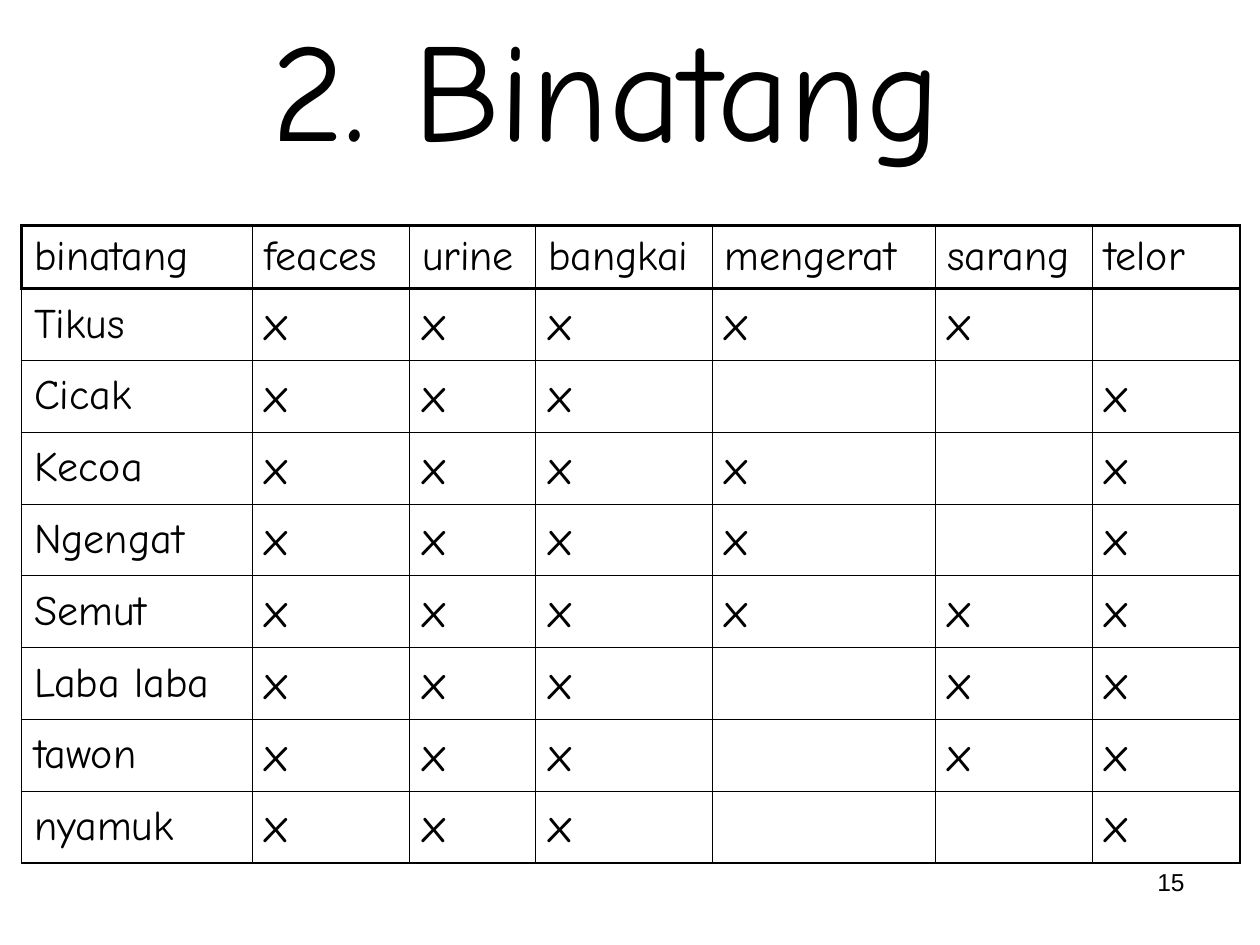
import dataclasses

import lxml.etree
import pptx
import pptx.dml.color
import pptx.enum.text
import pptx.oxml.ns
import pptx.util

Inches = pptx.util.Inches
Pt = pptx.util.Pt


@dataclasses.dataclass(frozen=True)
class Theme:
    """Fonts, colours, type sizes and line widths of the slide."""
    hand: str = "Comic Neue"
    plain: str = "Arial"
    ink: str = "000000"
    title: int = 80
    label: int = 24
    mark: int = 28
    number: int = 14
    header_rule: float = 1.47
    outer_rule: float = 1.08
    inner_rule: float = 0.45


THEME = Theme()
TRACES = ["feaces", "urine", "bangkai", "mengerat", "sarang", "telor"]
ANIMALS = {
    "Tikus": "xxxxx-",
    "Cicak": "xxx--x",
    "Kecoa": "xxxx-x",
    "Ngengat": "xxxx-x",
    "Semut": "xxxxxx",
    "Laba laba": "xxx-xx",
    "tawon": "xxx-xx",
    "nyamuk": "xxx--x",
}
COLUMN_WIDTHS = [1.83, 1.25, 1, 1.4, 1.77, 1.25, 1.17]
HEADER_HEIGHT = 0.5
ANIMAL_HEIGHT = 0.57


def add_run(paragraph, text, size, font):
    """Append a run in the theme's ink."""
    run = paragraph.add_run()
    run.text = text
    run.font.size = Pt(size)
    run.font.name = font
    run.font.color.rgb = pptx.dml.color.RGBColor.from_string(THEME.ink)


def place(shape, box):
    """Move a shape to a box of left, top, width and height."""
    shape.left, shape.top, shape.width, shape.height = box


def fill_title(slide, box):
    """Place and write the slide title."""
    title = slide.shapes.title
    place(title, box)
    frame = title.text_frame
    frame.word_wrap = True
    frame.auto_size = pptx.enum.text.MSO_AUTO_SIZE.SHAPE_TO_FIT_TEXT
    frame.vertical_anchor = pptx.enum.text.MSO_ANCHOR.TOP
    heading = frame.paragraphs[0]
    heading.alignment = pptx.enum.text.PP_ALIGN.CENTER
    heading.line_spacing = 1.1
    indents = heading._p.get_or_add_pPr()
    indents.set("marL", str(Inches(0.38)))
    indents.set("indent", str(Inches(-0.38)))
    add_run(heading, "2. Binatang ", THEME.title, THEME.hand)


def set_borders(cell, widths):
    """Draw the left, right, top and bottom rules of a cell."""
    properties = cell._tc.get_or_add_tcPr()
    qn = pptx.oxml.ns.qn
    for position, (side, width) in enumerate(zip("LRTB", widths)):
        rule = lxml.etree.Element(qn(f"a:ln{side}"), w=str(Pt(width)))
        fill = lxml.etree.SubElement(rule, qn("a:solidFill"))
        lxml.etree.SubElement(fill, qn("a:srgbClr"), val=THEME.ink)
        properties.insert(position, rule)


def add_animal_table(slide, box):
    """Add the table of animals and the traces they leave."""
    rows = [["binatang", *TRACES]]
    rows += [[animal, *marks.replace("-", " ")] for animal, marks in ANIMALS.items()]
    table = slide.shapes.add_table(len(rows), len(COLUMN_WIDTHS), *box).table
    table.first_row = table.horz_banding = False
    for column, width in zip(table.columns, COLUMN_WIDTHS):
        column.width = Inches(width)
    last_row, last_column = len(rows) - 1, len(COLUMN_WIDTHS) - 1
    for r, entries in enumerate(rows):
        table.rows[r].height = Inches(ANIMAL_HEIGHT if r else HEADER_HEIGHT)
        edge = THEME.outer_rule if r else THEME.header_rule
        for c, entry in enumerate(entries):
            cell = table.cell(r, c)
            cell.fill.background()
            cell.vertical_anchor = pptx.enum.text.MSO_ANCHOR.MIDDLE
            set_borders(cell, [
                edge if c == 0 else THEME.inner_rule,
                edge if c == last_column else THEME.inner_rule,
                THEME.header_rule if r < 2 else THEME.inner_rule,
                THEME.header_rule if r == 0
                else THEME.outer_rule if r == last_row else THEME.inner_rule,
            ])
            if entry.strip():
                size = THEME.mark if r and c else THEME.label
                add_run(cell.text_frame.paragraphs[0], entry, size, THEME.hand)


def add_page_number(slide, box):
    """Add the page number at the lower right."""
    frame = slide.shapes.add_textbox(*box).text_frame
    frame.word_wrap = True
    number = frame.paragraphs[0]
    number.alignment = pptx.enum.text.PP_ALIGN.RIGHT
    add_run(number, "15", THEME.number, THEME.plain)


def main():
    """Build the slide and save it."""
    deck = pptx.Presentation()
    deck.slide_width, deck.slide_height = Inches(10), Inches(7.5)
    slide = deck.slides.add_slide(deck.slide_layouts.get_by_name("Title Only"))
    add_page_number(slide, [Inches(n) for n in (7.17, 6.83, 2.33, 0.52)])
    fill_title(slide, [Inches(n) for n in (0, -0.17, 10, 1.57)])
    add_animal_table(slide, [Inches(n) for n in (0.17, 1.79, 9.67, 5.05)])
    deck.save("out.pptx")


if __name__ == "__main__":
    main()
